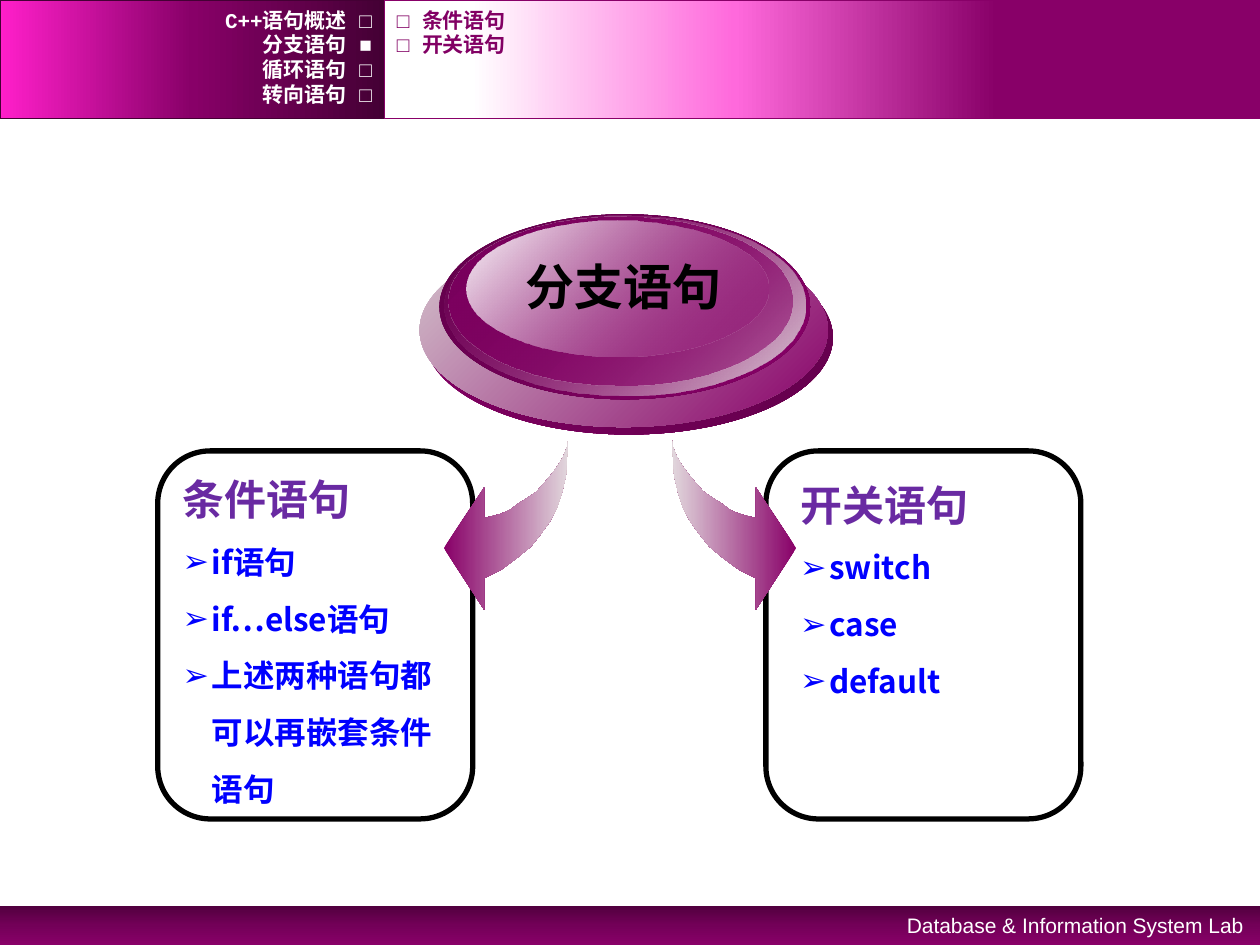
from lxml.etree import SubElement
from pptx import Presentation
from pptx.dml.color import RGBColor
from pptx.enum.shapes import MSO_SHAPE as SHAPE
from pptx.enum.text import MSO_ANCHOR as ANCHOR, MSO_AUTO_SIZE as AUTO, PP_ALIGN as ALIGN
from pptx.oxml.ns import qn
from pptx.util import Cm, Pt

CJK = "Noto Sans CJK SC"
PLUM = "880068"


def paint(shape, stops=(), angle=0, line=None, width=1):
    """Fill with (position, hex[, opacity]) stops, or leave hollow; outline if a line colour is given."""
    shape.shadow.inherit = False
    shape.fill.background()
    if stops:
        hollow = shape._element.spPr.find(qn("a:noFill"))
        hollow.tag = qn("a:gradFill")
        stop_list = SubElement(hollow, qn("a:gsLst"))
        for position, colour, *opacity in stops:
            stop = SubElement(stop_list, qn("a:gs"), pos=str(position * 1000))
            rgb = SubElement(stop, qn("a:srgbClr"), val=colour)
            for percent in opacity:
                SubElement(rgb, qn("a:alpha"), val=str(percent * 1000))
        SubElement(hollow, qn("a:lin"), ang=str(angle * 60000), scaled="0")
    if line:
        shape.line.color.rgb = RGBColor.from_string(line)
        shape.line.width = Pt(width)
    else:
        shape.line.fill.background()


def write(shape, text, size=12, font=CJK, colour="000000", bold=True, align=ALIGN.LEFT,
          anchor=ANCHOR.TOP, wrap=True, spacing=1.0, bullet=None, more=False):
    """Write one paragraph; with more=True it follows those already there."""
    frame = shape.text_frame
    frame.auto_size, frame.word_wrap, frame.vertical_anchor = AUTO.NONE, wrap, anchor
    frame.margin_left = frame.margin_right = Cm(0.25)
    frame.margin_top = frame.margin_bottom = Cm(0.13)
    paragraph = frame.add_paragraph() if more else frame.paragraphs[0]
    paragraph.alignment, paragraph.line_spacing = align, spacing
    paragraph.space_before = paragraph.space_after = Pt(0)
    properties = paragraph._p.get_or_add_pPr()
    indent = Cm(0.59) if bullet else 0
    properties.set("marL", str(indent))
    properties.set("indent", str(-indent))
    if bullet:
        SubElement(properties, qn("a:buFont"), typeface="Arial")
        SubElement(properties, qn("a:buChar"), char=bullet)
    else:
        SubElement(properties, qn("a:buNone"))
    run = paragraph.add_run()
    run.text = text
    run.font.size, run.font.bold, run.font.name = Pt(size), bold, font
    run.font.color.rgb = RGBColor.from_string(colour)
    SubElement(run._r.get_or_add_rPr(), qn("a:ea"), typeface=font)


deck = Presentation()
deck.slide_width, deck.slide_height = Cm(25.4), Cm(19.05)
slide = deck.slides.add_slide(deck.slide_layouts[3])
shapes = slide.shapes
topic, left_list, right_list = slide.placeholders

# Header and footer bands
bands = [
    (0, 18.26, 25.4, 0.79, [(0, "51003E"), (50, "730058"), (100, PLUM)], 90, None),
    (0, 0, 7.75, 2.39, [(0, "440034"), (50, PLUM), (100, "FF1FCA")], 180, "440034"),
    (7.75, 0, 17.65, 2.39, [(30, PLUM), (60, "FF69DC"), (90, "FFFFFF")], 180, PLUM),
]
for x, y, w, h, stops, angle, outline in bands:
    band = shapes.add_shape(SHAPE.RECTANGLE, Cm(x), Cm(y), Cm(w), Cm(h))
    paint(band, stops, angle, outline)

lab = shapes.add_textbox(Cm(16.31), Cm(18.26), Cm(9.02), Cm(0.76))
write(lab, "Database & Information System Lab", font="Arial", colour="FFFFFF",
      bold=False, align=ALIGN.RIGHT)

# Chapter and section navigation
navigation = [
    (0, 7.75, ALIGN.RIGHT, "FFFFFF",
     ["C++语句概述 □", "分支语句 ■", "循环语句 □", "转向语句 □"]),
    (7.75, 15.29, ALIGN.LEFT, "820064", ["□ 条件语句", "□ 开关语句"]),
]
for x, w, align, colour, entries in navigation:
    for row, entry in enumerate(entries):
        label = shapes.add_textbox(Cm(x), Cm(0.15 + 0.5 * row), Cm(w), Cm(0.5))
        write(label, entry, font="Courier New", colour=colour, align=align, anchor=ANCHOR.MIDDLE)

# Framed lists, one per kind of branch
branches = [
    (right_list, 15.44, (15.88, 9.53, 5.72, 4.75), "开关语句", ["switch", "case", "default"]),
    (left_list, 3.18, (3.43, 9.42, 5.66, 7.06), "条件语句",
     ["if语句", "if…else语句", "上述两种语句都可以再嵌套条件语句"]),
]
for branch, frame_x, (x, y, w, h), heading, items in branches:
    frame = shapes.add_shape(SHAPE.ROUNDED_RECTANGLE, Cm(frame_x), Cm(9.09), Cm(6.35), Cm(7.42))
    paint(frame, line="000000", width=3)
    branch.left, branch.top, branch.width, branch.height = Cm(x), Cm(y), Cm(w), Cm(h)
    write(branch, heading, size=24, colour="692AA2")
    for item in items:
        write(branch, item, size=18, colour="0000FF", spacing=1.5, bullet="➢", more=True)

# Curved arrows, mirrored: offsets from the tail
outline = [
    (0, 0), (0.03, 0.38), (0.05, 0.74), (0.13, 1.09), (0.23, 1.4), (0.38, 1.68), (0.56, 1.93),
    (0.76, 2.18), (1.04, 2.41), (1.35, 2.64), (1.7, 2.82), (1.7, 3.45), (2.51, 2.21),
    (1.7, 0.99), (1.7, 1.6), (1.55, 1.57), (1.37, 1.52), (1.19, 1.45), (1.02, 1.32),
    (0.81, 1.19), (0.64, 1.07), (0.48, 0.89), (0.33, 0.71), (0.2, 0.53), (0.1, 0.36), (0.03, 0.18),
]
for tail_x, side, angle in [(11.46, -1, 0), (13.54, 1, 180)]:
    points = [(Cm(tail_x + side * dx), Cm(8.84 + dy)) for dx, dy in outline]
    builder = shapes.build_freeform(*points[0])
    builder.add_line_segments(points[1:], close=True)
    paint(builder.convert_to_shape(), [(0, PLUM), (100, "E2D8DD")], angle)

# Layered button behind the topic
layers = [
    (8.56, 4.85, 8.23, 3.91, [(0, PLUM), (100, "63004C")]),
    (8.46, 4.7, 8.23, 3.91, [(0, "D5C6CE"), (100, PLUM)]),
    (8.86, 4.32, 7.47, 3.73, [(0, "61004A"), (100, PLUM)]),
    (8.97, 4.34, 7.26, 3.63, [(0, PLUM, 0), (100, "DFD4DA")]),
    (9.04, 4.37, 6.93, 3.4, [(0, "7B005E"), (100, PLUM, 48)]),
    (9.4, 4.45, 6.1, 2.74, [(0, "FFFFFF"), (100, PLUM, 38)]),
]
for x, y, w, h, stops in layers:
    layer = shapes.add_shape(SHAPE.OVAL, Cm(x), Cm(y), Cm(w), Cm(h))
    paint(layer, stops, 45)

# Topic, brought in front of the button
topic.left, topic.top, topic.width, topic.height = Cm(10.31), Cm(5.05), Cm(4.52), Cm(1.45)
write(topic, "分支语句", size=28, align=ALIGN.CENTER, wrap=False)
shapes._spTree.append(topic._element)

deck.save("out.pptx")
